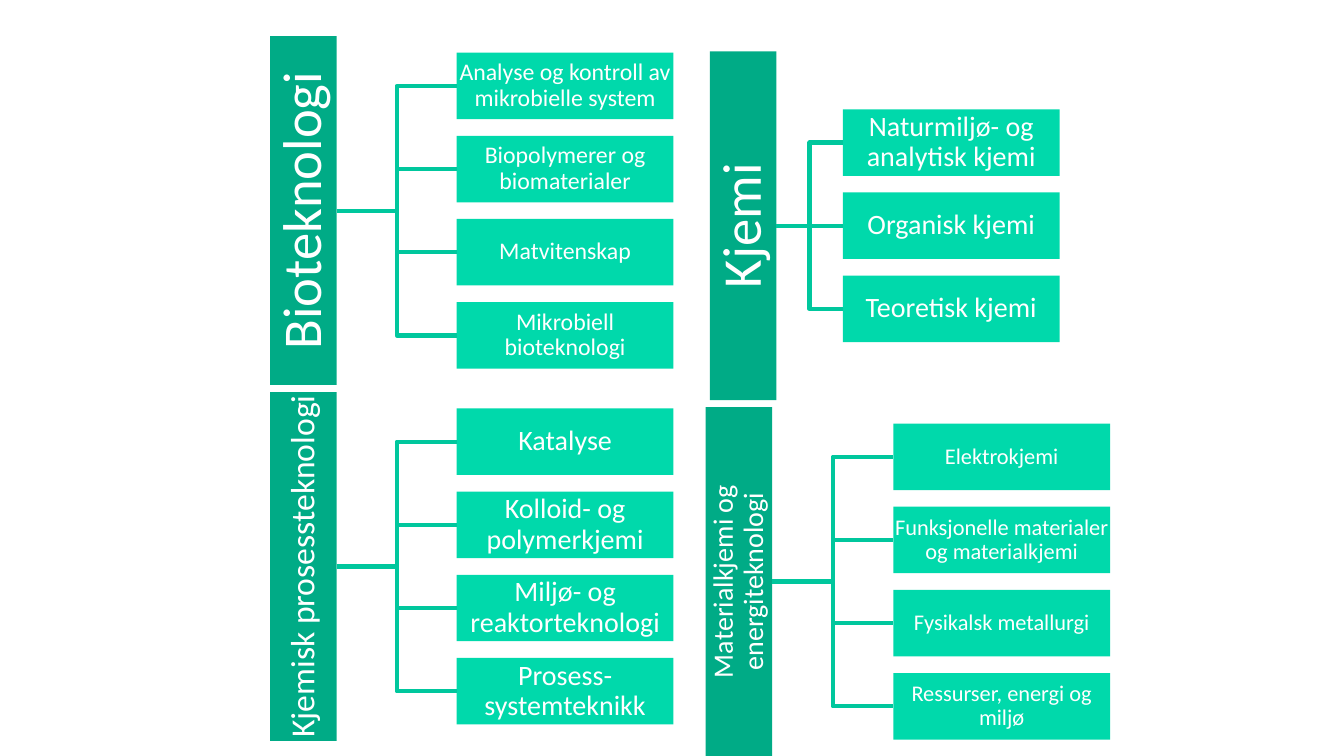
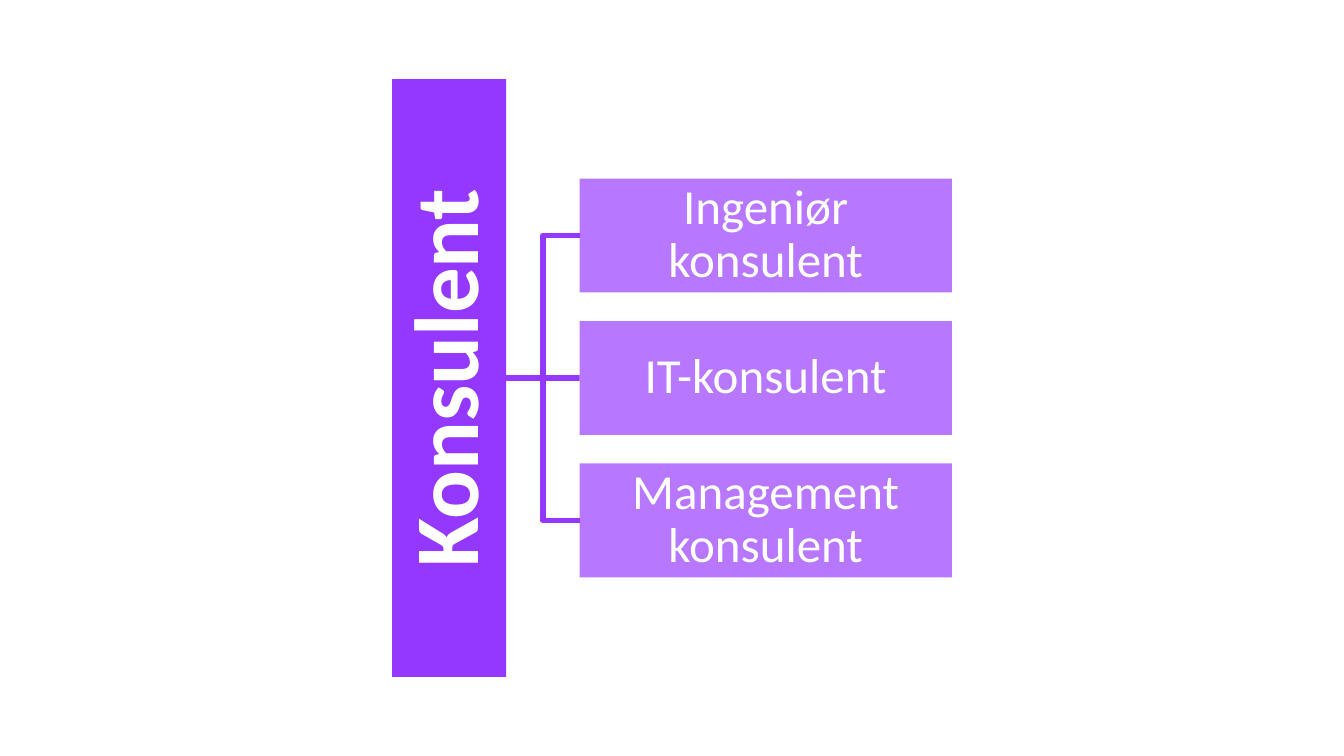
from dataclasses import dataclass

from lxml import etree
from pptx import Presentation
from pptx.dml.color import RGBColor
from pptx.enum import shapes, text
from pptx.oxml import ns
from pptx.util import Inches, Pt

FONT = "Calibri"
WHITE = RGBColor(0xFF, 0xFF, 0xFF)
JADE = RGBColor(0x00, 0xAB, 0x86)
MINT = RGBColor(0x00, 0xD9, 0xAB)
TEAL = RGBColor(0x00, 0xC7, 0x9D)
VIOLET = RGBColor(0x94, 0x37, 0xFF)
LILAC = RGBColor(0xB7, 0x77, 0xFF)
PITCH = 1.25  # distance between leaf tops, in leaf heights


@dataclass(frozen=True)
class Style:
    root: RGBColor
    leaf: RGBColor
    line: RGBColor
    weight: float
    thick: float  # root width and leaf height
    tall: float
    wide: float
    bold: bool


@dataclass(frozen=True)
class Tree:
    title: str
    size: float
    left: float
    middle: float
    indent: float  # left edge of the leaves
    leaf_size: float
    leaves: tuple[str, ...]


GREEN = Style(JADE, MINT, TEAL, 3, 0.66, 3.46, 2.15, False)
PURPLE = Style(VIOLET, LILAC, VIOLET, 4, 1.13, 5.93, 3.69, True)

FIELDS = (
    Tree("Bioteknologi", 39, 2.68, 2.09, 4.53, 17, (
        "Analyse og kontroll av mikrobielle system",
        "Biopolymerer og biomaterialer",
        "Matvitenskap",
        "Mikrobiell bioteknologi")),
    Tree("Kjemi", 39, 7.04, 2.24, 8.36, 20, (
        "Naturmiljø- og analytisk kjemi",
        "Organisk kjemi",
        "Teoretisk kjemi")),
    Tree("Kjemisk prosessteknologi", 24, 2.68, 5.62, 4.53, 20, (
        "Katalyse",
        "Kolloid- og polymerkjemi",
        "Miljø- og reaktorteknologi",
        "Prosess-systemteknikk")),
    Tree("Materialkjemi og energiteknologi", 20, 7.0, 5.77, 8.86, 16, (
        "Elektrokjemi",
        "Funksjonelle materialer og materialkjemi",
        "Fysikalsk metallurgi",
        "Ressurser, energi og miljø")),
)
ROLES = (
    Tree("Konsulent", 65, 3.89, 3.75, 5.75, 35, (
        "Ingeniør konsulent",
        "IT-konsulent",
        "Management konsulent")),
)


def add_box(slide, left: float, middle: float, width: float, height: float,
            fill: RGBColor, label: str, size: float, bold: bool = False):
    """Add a filled box, centred vertically on middle."""
    box = slide.shapes.add_shape(
        shapes.MSO_SHAPE.RECTANGLE, Inches(left), Inches(middle - height / 2),
        Inches(width), Inches(height))
    box.shadow.inherit = False
    box.fill.solid()
    box.fill.fore_color.rgb = fill
    box.line.fill.background()
    frame = box.text_frame
    frame.word_wrap = True
    frame.vertical_anchor = text.MSO_ANCHOR.MIDDLE
    pad = Inches(size / 1440)
    frame.margin_left = frame.margin_right = pad
    frame.margin_top = frame.margin_bottom = pad
    para = frame.paragraphs[0]
    para.alignment = text.PP_ALIGN.CENTER
    para.line_spacing = 0.9
    run = para.add_run()
    run.text = label
    run.font.name = FONT
    run.font.size = Pt(size)
    run.font.bold = bold
    run.font.color.rgb = WHITE
    return box


def add_link(slide, root, leaf, level: bool, style: Style) -> None:
    kind = shapes.MSO_CONNECTOR
    link = slide.shapes.add_connector(
        kind.STRAIGHT if level else kind.ELBOW, 0, 0, 0, 0)
    link.begin_connect(root, 3)
    link.end_connect(leaf, 1)
    link.line.color.rgb = style.line
    link.line.width = Pt(style.weight)
    etree.SubElement(link._element.spPr, ns.qn("a:effectLst"))


def add_tree(slide, tree: Tree, style: Style) -> None:
    root = add_box(slide, tree.left, tree.middle, style.thick, style.tall,
                   style.root, tree.title, tree.size, style.bold)
    root.text_frame._txBody.bodyPr.set("vert", "vert270")
    for row, label in enumerate(tree.leaves):
        shift = (row - (len(tree.leaves) - 1) / 2) * PITCH * style.thick
        leaf = add_box(slide, tree.indent, tree.middle + shift, style.wide,
                       style.thick, style.leaf, label, tree.leaf_size)
        add_link(slide, root, leaf, shift == 0, style)


def main() -> None:
    deck = Presentation()
    deck.slide_width, deck.slide_height = Inches(13.33), Inches(7.5)
    for trees, style in ((FIELDS, GREEN), (ROLES, PURPLE)):
        slide = deck.slides.add_slide(deck.slide_layouts[6])
        for tree in trees:
            add_tree(slide, tree, style)
    deck.save("out.pptx")


if __name__ == "__main__":
    main()
